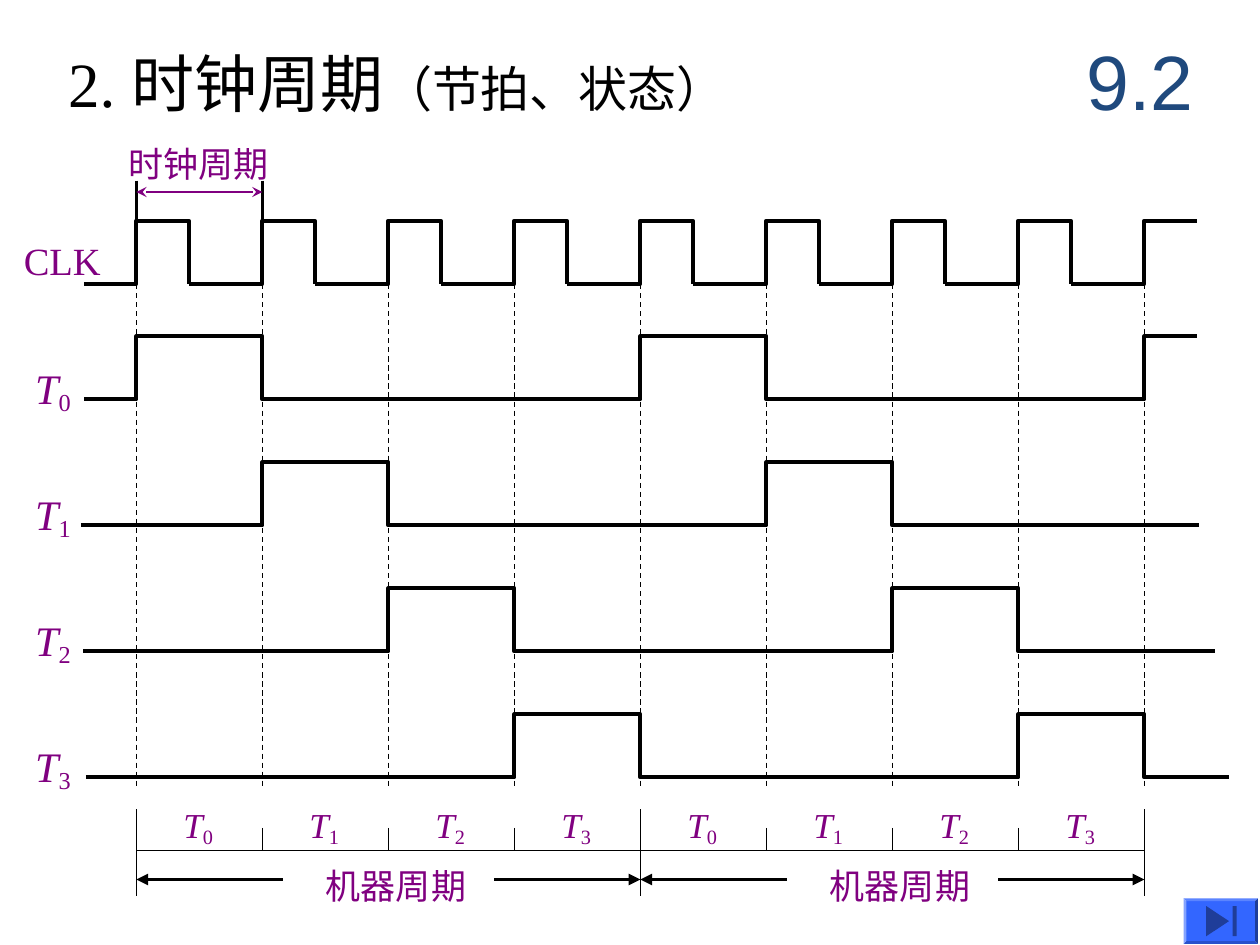
from dataclasses import dataclass

from lxml import etree
from pptx import Presentation
from pptx.dml.color import RGBColor
from pptx.enum.dml import MSO_LINE
from pptx.enum.shapes import MSO_CONNECTOR, MSO_SHAPE
from pptx.enum.text import MSO_ANCHOR, MSO_AUTO_SIZE, PP_ALIGN
from pptx.oxml.ns import qn
from pptx.util import Cm, Pt

STRAIGHT = MSO_CONNECTOR.STRAIGHT
DASH = MSO_LINE.DASH
BEVEL, BOX, WEDGE = MSO_SHAPE.BEVEL, MSO_SHAPE.RECTANGLE, MSO_SHAPE.ISOSCELES_TRIANGLE
TOP, MIDDLE = MSO_ANCHOR.TOP, MSO_ANCHOR.MIDDLE
LEFT, CENTER = PP_ALIGN.LEFT, PP_ALIGN.CENTER
FIT, FIXED = MSO_AUTO_SIZE.SHAPE_TO_FIT_TEXT, MSO_AUTO_SIZE.NONE


@dataclass(frozen=True)
class Theme:
    ink: RGBColor = RGBColor(0, 0, 0)
    label: RGBColor = RGBColor(0x80, 0, 0x80)
    mark: RGBColor = RGBColor(0x1F, 0x49, 0x7D)
    button: RGBColor = RGBColor(0x33, 0x66, 0xFF)
    icon: RGBColor = RGBColor(0x1F, 0x3D, 0x99)
    serif: str = "Times New Roman"
    sans: str = "Arial"
    title: int = 36
    sub: int = 28
    number: int = 44
    clock: int = 22
    signal: int = 24
    small: int = 20
    thin: float = 0.75
    mid: float = 1.5
    thick: float = 2.25


THEME = Theme()
STEP = 2.54    # one clock period
RISE = 1.27    # height of a pulse
PHASES = 4     # periods in a machine cycle
CYCLES = 2
SPAN = STEP * PHASES


def style(font, size, color, name=THEME.serif):
    font.size, font.name = Pt(size), name
    font.color.rgb = color


def line(slide, x1, y1, x2, y2, width, color=THEME.ink, head=None, tail=None):
    link = slide.shapes.add_connector(STRAIGHT, Cm(x1), Cm(y1), Cm(x2), Cm(y2))
    link.line.width = Pt(width)
    link.line.color.rgb = color
    for tag, kind in (("a:headEnd", head), ("a:tailEnd", tail)):
        if kind:
            etree.SubElement(link.line._get_or_add_ln(), qn(tag), type=kind)
    etree.SubElement(link._element.spPr, qn("a:effectLst"))
    return link


def label(slide, x, y, w, h, text, size, index=None):
    box = slide.shapes.add_textbox(Cm(x), Cm(y), Cm(w), Cm(h))
    frame = box.text_frame
    frame.word_wrap, frame.auto_size = False, FIT
    para = frame.paragraphs[0]
    style(para.font, size, THEME.label)
    run = para.add_run()
    run.text = text
    if index is not None:
        run.font.italic = True
        sub = para.add_run()
        sub.text = str(index)
        sub._r.get_or_add_rPr().set("baseline", "-15000")


def trace(slide, points):
    first, *rest = [(Cm(x), Cm(y)) for x, y in points]
    path = slide.shapes.build_freeform(*first, scale=1.0)
    path.add_line_segments(rest, close=False)
    shape = path.convert_to_shape()
    shape.shadow.inherit = False
    shape.fill.background()
    shape.line.width = Pt(THEME.thick)
    shape.line.color.rgb = THEME.ink


def heading(slide, x, y, w, h):
    title = slide.shapes.title
    title.left, title.top, title.width, title.height = Cm(x), Cm(y), Cm(w), Cm(h)
    frame = title.text_frame
    frame.word_wrap, frame.auto_size = True, FIXED
    frame.vertical_anchor = TOP
    para = frame.paragraphs[0]
    para.alignment = LEFT
    for text, size in (("2. 时钟周期", THEME.title), ("（节拍、状态）", THEME.sub)):
        run = para.add_run()
        run.text = text
        style(run.font, size, THEME.ink)


def number(slide, x, y, w, h):
    frame = slide.shapes.add_textbox(Cm(x), Cm(y), Cm(w), Cm(h)).text_frame
    frame.word_wrap = True
    frame.vertical_anchor = MIDDLE
    para = frame.paragraphs[0]
    para.text = "9.2"
    para.alignment = CENTER
    style(para.font, THEME.number, THEME.mark, THEME.sans)


def clock(slide, x, y):
    """Clock pulses; x is the first rising edge, y the high level."""
    high, low = 1.06, y + RISE
    label(slide, x - 2.52, y + 0.2, 2.06, 1.19, "CLK", THEME.clock)
    last = PHASES * CYCLES
    for i in range(last + 1):
        rise = x + i * STEP
        start = rise - (STEP - high if i else high)
        points = [(start, low), (rise, low), (rise, y), (rise + high, y)]
        if i < last:
            points.append((rise + high, low))
        trace(slide, points)
    # Width of one period
    for edge in (x, x + STEP):
        line(slide, edge, y - 0.81, edge, y + 0.05, THEME.mid)
    line(slide, x, y - 0.58, x + STEP, y - 0.58, THEME.mid, THEME.label,
         "stealth", "stealth")
    label(slide, x - 0.41, y - 1.7, 3.33, 1.12, "时钟周期", THEME.small)


def signals(slide, x, y):
    """Phase signals; x is the first rising edge, y the first high level."""
    ends = ((1.7, 24.13), (1.63, 24.18), (1.68, 24.49), (1.73, 24.77))
    for i, (start, end) in enumerate(ends):
        top = y + i * STEP
        low = top + RISE
        points = [(start, low)]
        # The first signal rises once more at the right end
        for c in range(CYCLES + (i == 0)):
            rise = x + i * STEP + c * SPAN
            points += [(rise, low), (rise, top)]
            if c < CYCLES:
                points += [(rise + STEP, top), (rise + STEP, low)]
        trace(slide, points + [(end, points[-1][1])])
        label(slide, x - 2.29, top + 0.41, 1.25, 1.32, "T", THEME.signal, i)


def guides(slide, x, y, h):
    for i in range(PHASES * CYCLES + 1):
        edge = x + i * STEP
        line(slide, edge, y, edge, y + h, THEME.thin).line.dash_style = DASH


def scale(slide, x, y, h):
    """Phase scale and machine cycles below the signals."""
    axis, arrow, count = y + 0.84, y + 1.42, PHASES * CYCLES
    line(slide, x, axis, x + count * STEP, axis, THEME.thin)
    for i in range(count + 1):
        edge = x + i * STEP
        top, end = (y + 0.38, axis) if i % PHASES else (y, y + h)
        line(slide, edge, top, edge, end, THEME.thin)
        if i < count:
            label(slide, edge + 0.7, y - 0.23, 1.2, 1.14, "T", THEME.small, i % PHASES)
    for c in range(CYCLES):
        left = x + c * SPAN
        right = left + SPAN
        for start, end in ((left + 2.95, left), (right - 2.95, right)):
            line(slide, start, arrow, end, arrow, THEME.thick, tail="triangle")
        label(slide, left + 3.57, y + 0.99, 3.33, 1.12, "机器周期", THEME.small)


def button(slide, x, y, w, h):
    bar, side = 0.08, 0.61
    mid = y + h / 2
    parts = (
        (BEVEL, x, y, w, h, THEME.button),
        (WEDGE, x + 0.38, mid - 0.23, side, 0.46, THEME.icon),
        (BOX, x + 0.99, mid - side / 2, bar, side, THEME.icon),
    )
    for kind, left, top, wide, tall, color in parts:
        shape = slide.shapes.add_shape(kind, Cm(left), Cm(top), Cm(wide), Cm(tall))
        shape.shadow.inherit = False
        shape.fill.solid()
        shape.fill.fore_color.rgb = color
        shape.line.fill.background()
        if kind == BEVEL:
            shape.adjustments[0] = 0.06
        elif kind == WEDGE:
            shape.rotation = 90


def main():
    deck = Presentation()
    deck.slide_width, deck.slide_height = Cm(25.4), Cm(19.05)
    slide = deck.slides.add_slide(deck.slide_layouts[5])
    left = 2.75
    heading(slide, 1.12, 0.76, 14.35, 1.78)
    number(slide, 21.39, 0.43, 3.18, 2.34)
    guides(slide, left, 5, 10.88)
    signals(slide, left, 6.78)
    clock(slide, left, 4.45)
    scale(slide, left, 16.31, 1.75)
    button(slide, 23.86, 18.11, 1.5, 0.92)
    deck.save("out.pptx")


if __name__ == "__main__":
    main()
